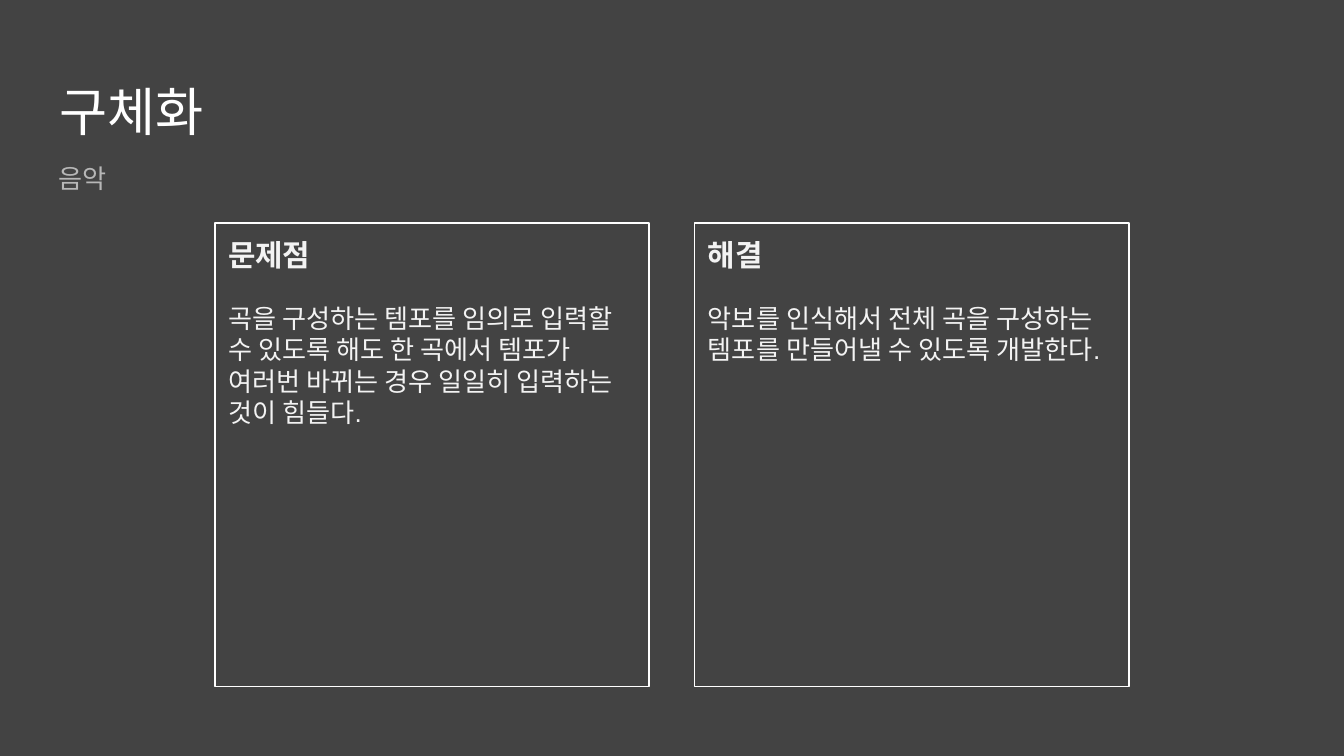
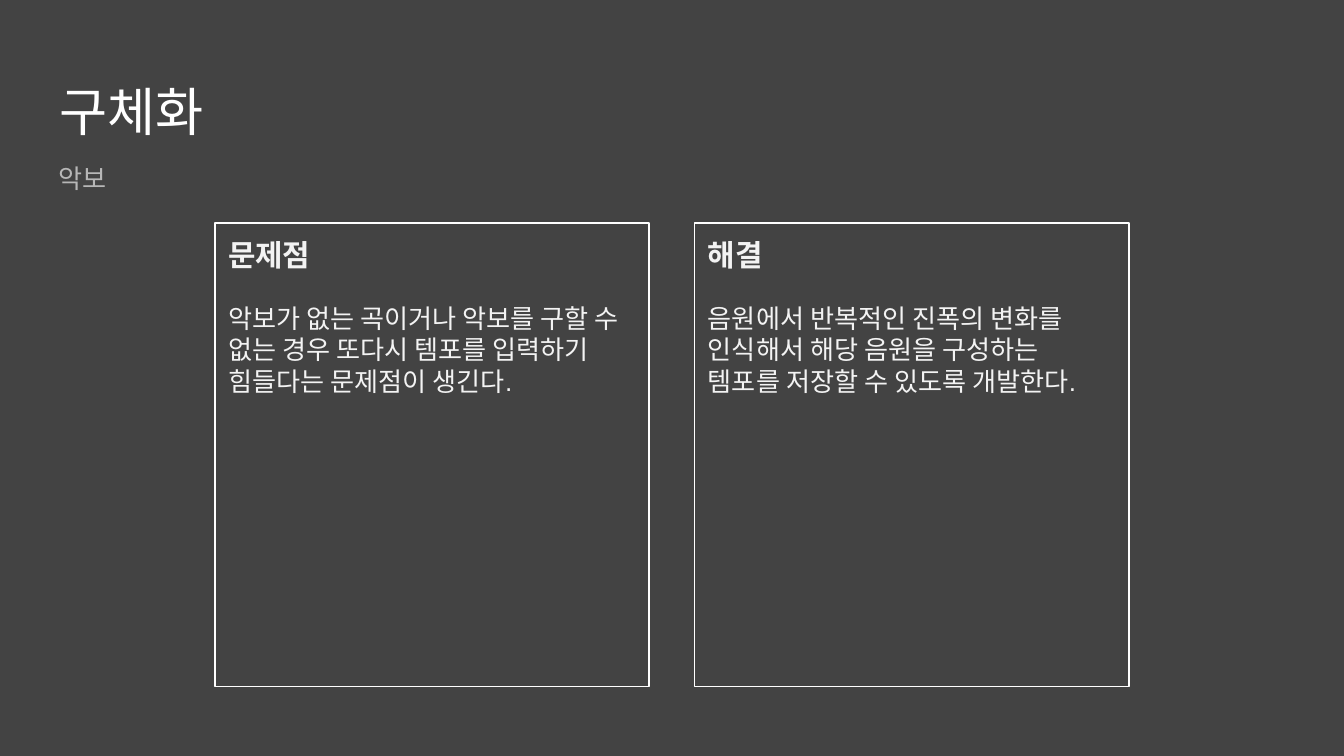
import pptx
import pptx.dml.color
import pptx.enum.shapes
import pptx.enum.text
import pptx.util

Pt = pptx.util.Pt

FONT = "Arial"
BACKGROUND = "434343"
WHITE = "FFFFFF"
CARD_TEXT = "F3F3F3"
SUBTITLE_TEXT = "B7B7B7"

SLIDE_WIDTH, SLIDE_HEIGHT = 720, 405
MARGIN_LEFT = 24.5
INSET = 7.2
CARD_TOP, CARD_WIDTH, CARD_HEIGHT = 119.5, 232.6, 248.4
CARD_GAP = 24.4

TITLE = "구체화"
CARD_HEADINGS = ("문제점", "해결")
TOPICS = (
    ("음악", (
        "곡을 구성하는 템포를 임의로 입력할 수 있도록 해도 한 곡에서 템포가 "
        "여러번 바뀌는 경우 일일히 입력하는 것이 힘들다.",
        "악보를 인식해서 전체 곡을 구성하는 템포를 만들어낼 수 있도록 개발한다.",
    )),
    ("악보", (
        "악보가 없는 곡이거나 악보를 구할 수 없는 경우 또다시 템포를 입력하기 "
        "힘들다는 문제점이 생긴다.",
        "음원에서 반복적인 진폭의 변화를 인식해서 해당 음원을 구성하는 "
        "템포를 저장할 수 있도록 개발한다.",
    )),
)


def rgb(hex_color):
    """Turn a hex string into a colour."""
    return pptx.dml.color.RGBColor.from_string(hex_color)


def prepare_frame(frame):
    """Give a text frame wrapping, top anchoring and equal insets."""
    frame.word_wrap = True
    frame.auto_size = pptx.enum.text.MSO_AUTO_SIZE.NONE
    frame.vertical_anchor = pptx.enum.text.MSO_ANCHOR.TOP
    frame.margin_left = frame.margin_right = Pt(INSET)
    frame.margin_top = frame.margin_bottom = Pt(INSET)


def write(paragraph, text, size, color, bold=False):
    """Fill a left-aligned paragraph and set its font."""
    paragraph.text = text
    paragraph.alignment = pptx.enum.text.PP_ALIGN.LEFT
    font = paragraph.font
    font.name, font.size, font.bold = FONT, Pt(size), bold
    font.color.rgb = rgb(color)


def add_title(slide, text):
    """Place and format the title placeholder."""
    title = slide.shapes.title
    title.left, title.top = Pt(MARGIN_LEFT), Pt(35)
    title.width, title.height = Pt(671), Pt(45)
    prepare_frame(title.text_frame)
    write(title.text_frame.paragraphs[0], text, 28, WHITE)


def add_subtitle(slide, text):
    """Add the topic line below the title."""
    subtitle = slide.shapes.add_textbox(Pt(MARGIN_LEFT), Pt(80), Pt(390), Pt(39))
    prepare_frame(subtitle.text_frame)
    write(subtitle.text_frame.paragraphs[0], text, 14, SUBTITLE_TEXT)


def add_card(slide, left, heading, body):
    """Add an outlined card with a bold heading above its text."""
    card = slide.shapes.add_shape(
        pptx.enum.shapes.MSO_SHAPE.RECTANGLE,
        Pt(left), Pt(CARD_TOP), Pt(CARD_WIDTH), Pt(CARD_HEIGHT))
    card.shadow.inherit = False
    card.fill.background()
    card.line.color.rgb = rgb(WHITE)
    card.line.width = Pt(0.75)
    frame = card.text_frame
    prepare_frame(frame)
    write(frame.paragraphs[0], heading, 16, CARD_TEXT, bold=True)
    description = frame.add_paragraph()
    write(description, body, 14, CARD_TEXT)
    description.space_before = Pt(16)


def add_topic_slide(deck, topic, bodies):
    """Build one slide with a centred row of cards."""
    slide = deck.slides.add_slide(deck.slide_layouts[5])
    slide.background.fill.solid()
    slide.background.fill.fore_color.rgb = rgb(BACKGROUND)
    add_title(slide, TITLE)
    add_subtitle(slide, topic)
    pitch = CARD_WIDTH + CARD_GAP
    row_left = (SLIDE_WIDTH - len(bodies) * pitch + CARD_GAP) / 2
    for index, (heading, body) in enumerate(zip(CARD_HEADINGS, bodies)):
        add_card(slide, row_left + index * pitch, heading, body)


def main():
    """Build and save the deck."""
    deck = pptx.Presentation()
    deck.slide_width, deck.slide_height = Pt(SLIDE_WIDTH), Pt(SLIDE_HEIGHT)
    for topic, bodies in TOPICS:
        add_topic_slide(deck, topic, bodies)
    deck.save("out.pptx")


main()
